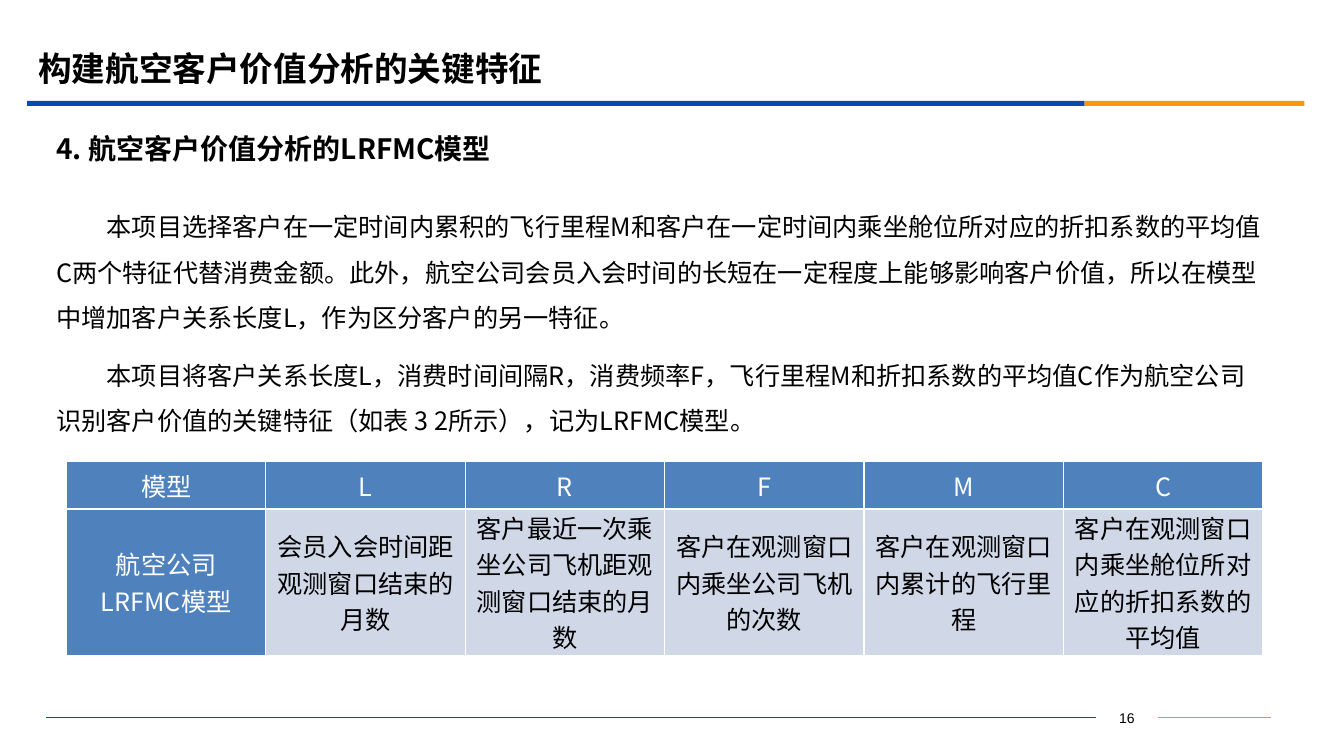
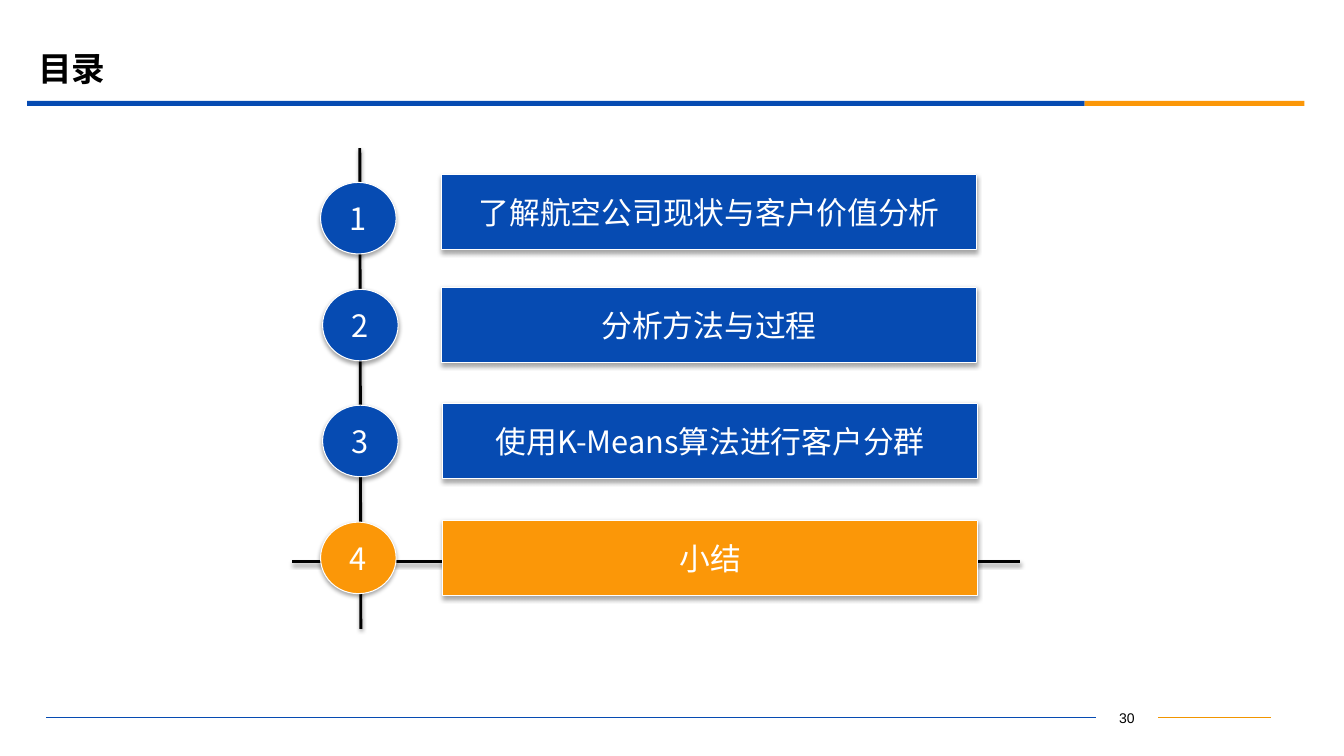
from dataclasses import dataclass

from lxml.etree import SubElement
from pptx import Presentation
from pptx.dml.color import RGBColor
from pptx.enum.shapes import MSO_CONNECTOR, MSO_SHAPE
from pptx.enum.text import MSO_ANCHOR, MSO_AUTO_SIZE, PP_ALIGN
from pptx.oxml.ns import qn
from pptx.util import Inches, Pt


@dataclass(frozen=True)
class Theme:
    blue: str = "064BB2"
    orange: str = "FB9708"
    footer_orange: str = "F19500"
    table_blue: str = "4F81BD"
    table_pale: str = "D0D8E8"
    black: str = "000000"
    white: str = "FFFFFF"
    text_font: str = "Noto Sans CJK SC"
    number_font: str = "Arial"
    title_size: int = 24
    agenda_size: int = 22
    heading_size: int = 20
    body_size: int = 18
    number_size: int = 10


THEME = Theme()
GRID_CELL = 0.1
SLIDE_COLUMNS, SLIDE_ROWS = 133.33, 75

PARAGRAPHS = (
    "本项目选择客户在一定时间内累积的飞行里程M和客户在一定时间内乘坐舱位所对应的折扣系数的平均值C两个特征代替消费金额。"
    "此外，航空公司会员入会时间的长短在一定程度上能够影响客户价值，所以在模型中增加客户关系长度L，作为区分客户的另一特征。",
    "本项目将客户关系长度L，消费时间间隔R，消费频率F，飞行里程M和折扣系数的平均值C作为航空公司识别客户价值的关键特征"
    "（如表 3 2所示），记为LRFMC模型。",
)
MODEL_ROWS = (
    ("模型", "L", "R", "F", "M", "C"),
    (
        "航空公司\nLRFMC模型",
        "会员入会时间距观测窗口结束的月数",
        "客户最近一次乘坐公司飞机距观测窗口结束的月数",
        "客户在观测窗口内乘坐公司飞机的次数",
        "客户在观测窗口内累计的飞行里程",
        "客户在观测窗口内乘坐舱位所对应的折扣系数的平均值",
    ),
)
AGENDA = (
    ("了解航空公司现状与客户价值分析", (31.8, 18.1), (43.8, 17.3), THEME.blue),
    ("分析方法与过程", (32, 28.7), (43.8, 28.5), THEME.blue),
    ("使用K-Means算法进行客户分群", (32, 40.2), (43.9, 40), THEME.blue),
    ("小结", (31.8, 51.8), (43.9, 51.6), THEME.orange),
)


def grid(*cells):
    return [Inches(cell * GRID_CELL) for cell in cells]


def color(value):
    return RGBColor.from_string(value)


def add_span(para, text, size, ink=THEME.black, bold=False, font=THEME.text_font):
    span = para.add_run()
    span.text = text
    span.font.size = Pt(size)
    span.font.bold = bold
    span.font.color.rgb = color(ink)
    span.font.name = font
    SubElement(span.font._element, qn("a:ea"), typeface=font)


def write(frame, texts, size, align=PP_ALIGN.LEFT, **style):
    for index, text in enumerate(texts):
        para = frame.paragraphs[0] if index == 0 else frame.add_paragraph()
        para.alignment = align
        add_span(para, text, size, **style)


def add_text(page, place, texts, size, anchor=MSO_ANCHOR.TOP, **style):
    frame = page.shapes.add_textbox(*grid(*place)).text_frame
    frame.word_wrap = True
    frame.vertical_anchor = anchor
    write(frame, texts, size, **style)
    return frame


def add_shadow(effects, opacity, distance):
    shadow = SubElement(
        effects, qn("a:outerShdw"), blurRad=str(Pt(3.1)), dist=str(Pt(distance)),
        dir="5400000", rotWithShape="0",
    )
    ink = SubElement(shadow, qn("a:srgbClr"), val=THEME.black)
    SubElement(ink, qn("a:alpha"), val=str(opacity * 1000))


def add_line(page, start, end, ink, width, shadowed=False):
    line = page.shapes.add_connector(MSO_CONNECTOR.STRAIGHT, *grid(*start, *end))
    line.line.color.rgb = color(ink)
    line.line.width = Pt(width)
    effects = SubElement(line._element.spPr, qn("a:effectLst"))
    if shadowed:
        add_shadow(effects, 38, 1.6)


def add_block(page, kind, place, fill):
    block = page.shapes.add_shape(kind, *grid(*place))
    block.shadow.inherit = False
    block.fill.solid()
    block.fill.fore_color.rgb = color(fill)
    block.line.fill.background()
    return block


def add_agenda_block(page, kind, place, fill, text):
    block = add_block(page, kind, place, fill)
    block.line.color.rgb = color(THEME.white)
    block.line.width = Pt(0.75)
    add_shadow(block._element.spPr.find(qn("a:effectLst")), 35, 1.8)
    frame = block.text_frame
    frame.word_wrap = False
    frame.vertical_anchor = MSO_ANCHOR.MIDDLE
    write(frame, [text], THEME.agenda_size, PP_ALIGN.CENTER, ink=THEME.white)


def add_page(deck, title, number):
    page = deck.slides.add_slide(deck.slide_layouts[5])
    box = page.shapes.title
    box.left, box.top, box.width, box.height = grid(2.8, 3.9, 120, 5.8)
    frame = box.text_frame
    frame.auto_size = MSO_AUTO_SIZE.NONE
    frame.vertical_anchor = MSO_ANCHOR.MIDDLE
    write(frame, [title], THEME.title_size, bold=True)

    add_block(page, MSO_SHAPE.RECTANGLE, (2.7, 10, 104.9, 0.5), THEME.blue)
    add_block(page, MSO_SHAPE.RECTANGLE, (107.6, 10, 21.8, 0.5), THEME.orange)
    add_line(page, (4.6, 71.2), (108.7, 71.2), THEME.blue, 0.75)
    add_line(page, (114.9, 71.2), (126.1, 71.2), THEME.footer_orange, 0.75)
    add_text(page, (108.7, 69.9, 6.2, 2.5), [str(number)], THEME.number_size,
             align=PP_ALIGN.CENTER, font=THEME.number_font)
    return page


def add_border(cell, side):
    border = SubElement(cell._tc.get_or_add_tcPr(), qn(f"a:ln{side}"), w=str(Pt(1)))
    fill = SubElement(border, qn("a:solidFill"))
    SubElement(fill, qn("a:srgbClr"), val=THEME.white)


def fill_cell(cell, text, is_label):
    for side in "LRTB":
        add_border(cell, side)
    cell.fill.solid()
    cell.fill.fore_color.rgb = color(THEME.table_blue if is_label else THEME.table_pale)
    cell.vertical_anchor = MSO_ANCHOR.MIDDLE
    cell.margin_left, cell.margin_right = grid(0.6, 0.6)
    cell.margin_top = cell.margin_bottom = 0
    write(cell.text_frame, text.split("\n"), THEME.body_size, PP_ALIGN.CENTER,
          ink=THEME.white if is_label else THEME.black)


def add_model_table(page, corner, width, row_heights):
    rows, columns = len(MODEL_ROWS), len(MODEL_ROWS[0])
    place = grid(*corner, width, sum(row_heights))
    table = page.shapes.add_table(rows, columns, *place).table
    for row, height in zip(table.rows, grid(*row_heights)):
        row.height = height
    for row_index, texts in enumerate(MODEL_ROWS):
        for column_index, text in enumerate(texts):
            fill_cell(table.cell(row_index, column_index), text,
                      row_index == 0 or column_index == 0)


def build_model_page(deck):
    page = add_page(deck, "构建航空客户价值分析的关键特征", 16)
    add_text(page, (4.6, 12.4, 121.5, 4.7), ["4. 航空客户价值分析的LRFMC模型"],
             THEME.heading_size, MSO_ANCHOR.MIDDLE, bold=True)
    body = add_text(page, (4.6, 19, 121.5, 26), PARAGRAPHS, THEME.body_size)
    for para in body.paragraphs:
        para.line_spacing = 1.5
        para.space_before = Pt(9)
        para._p.get_or_add_pPr().set("indent", str(Inches(0.5)))
    add_model_table(page, (6.6, 45.8), 118.7, (4.7, 14.5))


def build_agenda_page(deck):
    page = add_page(deck, "目录", 30)
    add_line(page, (35.7, 14.7), (35.8, 62.4), THEME.black, 2, shadowed=True)
    add_line(page, (29, 55.7), (101.2, 55.7), THEME.black, 2, shadowed=True)
    for number, (text, disc, button, fill) in enumerate(AGENDA, start=1):
        add_agenda_block(page, MSO_SHAPE.OVAL, (*disc, 7.5, 7.1), fill, str(number))
        add_agenda_block(page, MSO_SHAPE.ACTION_BUTTON_CUSTOM,
                         (*button, 53.1, 7.5), fill, text)


def main():
    deck = Presentation()
    deck.slide_width, deck.slide_height = grid(SLIDE_COLUMNS, SLIDE_ROWS)
    build_model_page(deck)
    build_agenda_page(deck)
    deck.save("out.pptx")


if __name__ == "__main__":
    main()
